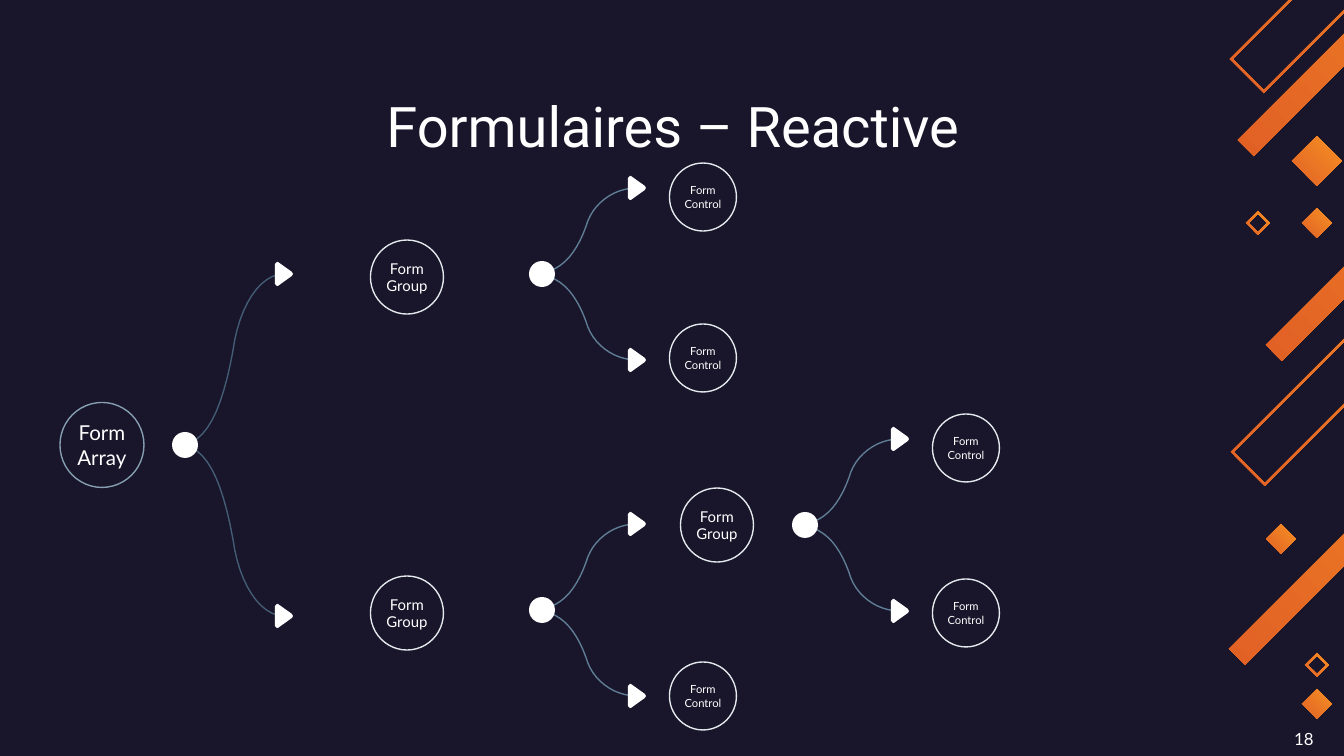
from dataclasses import dataclass

from pptx import Presentation
from pptx.dml.color import RGBColor
from pptx.enum.shapes import MSO_SHAPE
from pptx.enum.text import MSO_ANCHOR, PP_ALIGN
from pptx.shapes.base import BaseShape
from pptx.slide import Slide
from pptx.text.text import TextFrame
from pptx.util import Emu, Pt

EMU_PER_PX = 914400 / 134.4
SLIDE_WIDTH, SLIDE_HEIGHT = 1344, 756

NIGHT = RGBColor(0x19, 0x15, 0x2A)
WHITE = RGBColor(0xFF, 0xFF, 0xFF)
LIGHT_ORANGE = RGBColor(0xF7, 0x91, 0x24)
DARK_ORANGE = RGBColor(0xE1, 0x61, 0x25)
PALE_GREY = RGBColor(0xE3, 0xE9, 0xED)
BLUE_GREY = RGBColor(0x86, 0x9F, 0xB2)
STEEL = RGBColor(0x5F, 0x7D, 0x95)
DARK_STEEL = RGBColor(0x43, 0x5D, 0x74)

Point = tuple[float, float]


@dataclass(frozen=True)
class Bar:
    """A bar rising to the right at 45 degrees from its left corner."""
    x: int
    y: int
    length: int
    thickness: int
    hollow: bool = False


@dataclass(frozen=True)
class NodeStyle:
    text: str
    width: int
    height: int
    font_size: int
    line_color: RGBColor


@dataclass(frozen=True)
class Node:
    style: NodeStyle
    center_x: int
    center_y: int


@dataclass(frozen=True)
class Fork:
    """A dot with one branch going up and one going down."""
    start_x: int
    dot_x: int
    y: int
    rise: int
    color: RGBColor


FORM_ARRAY = NodeStyle("Form\vArray", 84, 85, 11, BLUE_GREY)
FORM_GROUP = NodeStyle("Form Group", 73, 74, 8, PALE_GREY)
FORM_CONTROL = NodeStyle("Form Control", 67, 68, 6, PALE_GREY)

NODES = [
    Node(FORM_ARRAY, 102, 445),
    Node(FORM_GROUP, 407, 277),
    Node(FORM_GROUP, 407, 613),
    Node(FORM_GROUP, 717, 525),
    Node(FORM_CONTROL, 703, 197),
    Node(FORM_CONTROL, 703, 358),
    Node(FORM_CONTROL, 703, 696),
    Node(FORM_CONTROL, 966, 448),
    Node(FORM_CONTROL, 966, 613),
]

FORKS = [
    Fork(179, 185, 445, 171, DARK_STEEL),
    Fork(532, 542, 274, 86, STEEL),
    Fork(532, 542, 610, 86, STEEL),
    Fork(795, 805, 525, 86, STEEL),
]

BARS = [
    Bar(1230, 59, 262, 34, hollow=True),
    Bar(1238, 140, 315, 16),
    Bar(1292, 161, 25, 25),
    Bar(1305, 665, 12, 12, hollow=True),
    Bar(1246, 223, 12, 12, hollow=True),
    Bar(1231, 452, 262, 34, hollow=True),
    Bar(1229, 649, 315, 16),
    Bar(1266, 345, 315, 16),
    Bar(1302, 704, 15, 15),
    Bar(1302, 223, 15, 15),
    Bar(1266, 539, 15, 15),
]
RIM = 3

# Branch as two cubic curves: x in px, y as a share of the rise.
BRANCH_CURVES = [
    [(0, 0), (27, 0), (43, 0.2), (54, 0.55)],
    [(54, 0.55), (60, 0.81), (81, 1), (105, 1)],
]
CURVE_STEPS = 12
ARROWHEAD = [(-7, -12), (-9, -10), (-9, 10), (-7, 12), (-6, 12),
             (8, 2), (9, 0), (8, -2), (-6, -12)]
DOT_SIZE = 26


def px(length: float) -> Emu:
    return Emu(round(length * EMU_PER_PX))


def add_outline(slide: Slide, contours: list[list[Point]], closed: bool = True) -> BaseShape:
    scaled = [[(px(x), px(y)) for x, y in contour] for contour in contours]
    builder = slide.shapes.build_freeform(*scaled[0][0])
    builder.add_line_segments(scaled[0][1:], close=closed)
    for contour in scaled[1:]:
        builder.move_to(*contour[0])
        builder.add_line_segments(contour[1:], close=closed)
    shape = builder.convert_to_shape()
    shape.shadow.inherit = False
    return shape


def add_oval(slide: Slide, center_x: int, center_y: int, width: int, height: int) -> BaseShape:
    shape = slide.shapes.add_shape(
        MSO_SHAPE.OVAL, px(center_x - width / 2), px(center_y - height / 2), px(width), px(height))
    shape.shadow.inherit = False
    return shape


def fill_white(shape: BaseShape) -> None:
    shape.fill.solid()
    shape.fill.fore_color.rgb = WHITE
    shape.line.fill.background()


def draw_line_only(shape: BaseShape, color: RGBColor) -> None:
    shape.fill.background()
    shape.line.color.rgb = color
    shape.line.width = Pt(0.75)


def write(text_frame: TextFrame, text: str, font: str, size: int, alignment: PP_ALIGN) -> None:
    text_frame.word_wrap = True
    text_frame.text = text
    paragraph = text_frame.paragraphs[0]
    paragraph.alignment = alignment
    for run in paragraph.runs:
        run.font.name = font
        run.font.size = Pt(size)
        run.font.color.rgb = WHITE


def bar_corners(x: int, y: int, length: int, thickness: int) -> list[Point]:
    return [(x, y), (x + length, y - length),
            (x + length + thickness, y - length + thickness), (x + thickness, y + thickness)]


def add_bar(slide: Slide, bar: Bar) -> None:
    contours = [bar_corners(bar.x, bar.y, bar.length, bar.thickness)]
    if bar.hollow:
        inner = bar_corners(bar.x + RIM, bar.y, bar.length - RIM, bar.thickness - RIM)
        contours.append(inner[::-1])
    shape = add_outline(slide, contours)
    shape.fill.gradient()
    shape.fill.gradient_angle = 225
    for stop, color in zip(shape.fill.gradient_stops, (LIGHT_ORANGE, DARK_ORANGE)):
        stop.color.rgb = color
    shape.line.fill.background()


def cubic_point(controls: list[Point], t: float) -> Point:
    weights = ((1 - t) ** 3, 3 * t * (1 - t) ** 2, 3 * t ** 2 * (1 - t), t ** 3)
    return (sum(w * x for w, (x, _) in zip(weights, controls)),
            sum(w * y for w, (_, y) in zip(weights, controls)))


def add_fork(slide: Slide, fork: Fork) -> None:
    curve = [cubic_point(controls, step / CURVE_STEPS)
             for controls in BRANCH_CURVES for step in range(CURVE_STEPS + 1)]
    for rise in (fork.rise, -fork.rise):
        branch = [(fork.start_x + x, fork.y + y * rise) for x, y in curve]
        draw_line_only(add_outline(slide, [branch], closed=False), fork.color)
        end_x, end_y = branch[-1]
        fill_white(add_outline(slide, [[(end_x + x, end_y + y) for x, y in ARROWHEAD]]))
    fill_white(add_oval(slide, fork.dot_x, fork.y, DOT_SIZE, DOT_SIZE))


def add_node(slide: Slide, node: Node) -> None:
    style = node.style
    shape = add_oval(slide, node.center_x, node.center_y, style.width, style.height)
    draw_line_only(shape, style.line_color)
    frame = shape.text_frame
    frame.margin_left = frame.margin_right = frame.margin_top = frame.margin_bottom = 0
    frame.vertical_anchor = MSO_ANCHOR.MIDDLE
    write(frame, style.text, "Lato", style.font_size, PP_ALIGN.CENTER)


def main() -> None:
    presentation = Presentation()
    presentation.slide_width, presentation.slide_height = px(SLIDE_WIDTH), px(SLIDE_HEIGHT)
    slide = presentation.slides.add_slide(presentation.slide_layouts[6])
    slide.background.fill.solid()
    slide.background.fill.fore_color.rgb = NIGHT

    for bar in BARS:
        add_bar(slide, bar)
    number = slide.shapes.add_textbox(px(1281), px(722), px(63), px(34))
    write(number.text_frame, "18", "Lato", 9, PP_ALIGN.LEFT)
    title = slide.shapes.add_textbox(px(89), px(79), px(1168), px(85))
    title.text_frame.margin_top = title.text_frame.margin_bottom = px(13)
    write(title.text_frame, "Formulaires – Reactive", "Roboto", 30, PP_ALIGN.CENTER)
    for fork in FORKS:
        add_fork(slide, fork)
    for node in NODES:
        add_node(slide, node)
    presentation.save("out.pptx")


if __name__ == "__main__":
    main()
